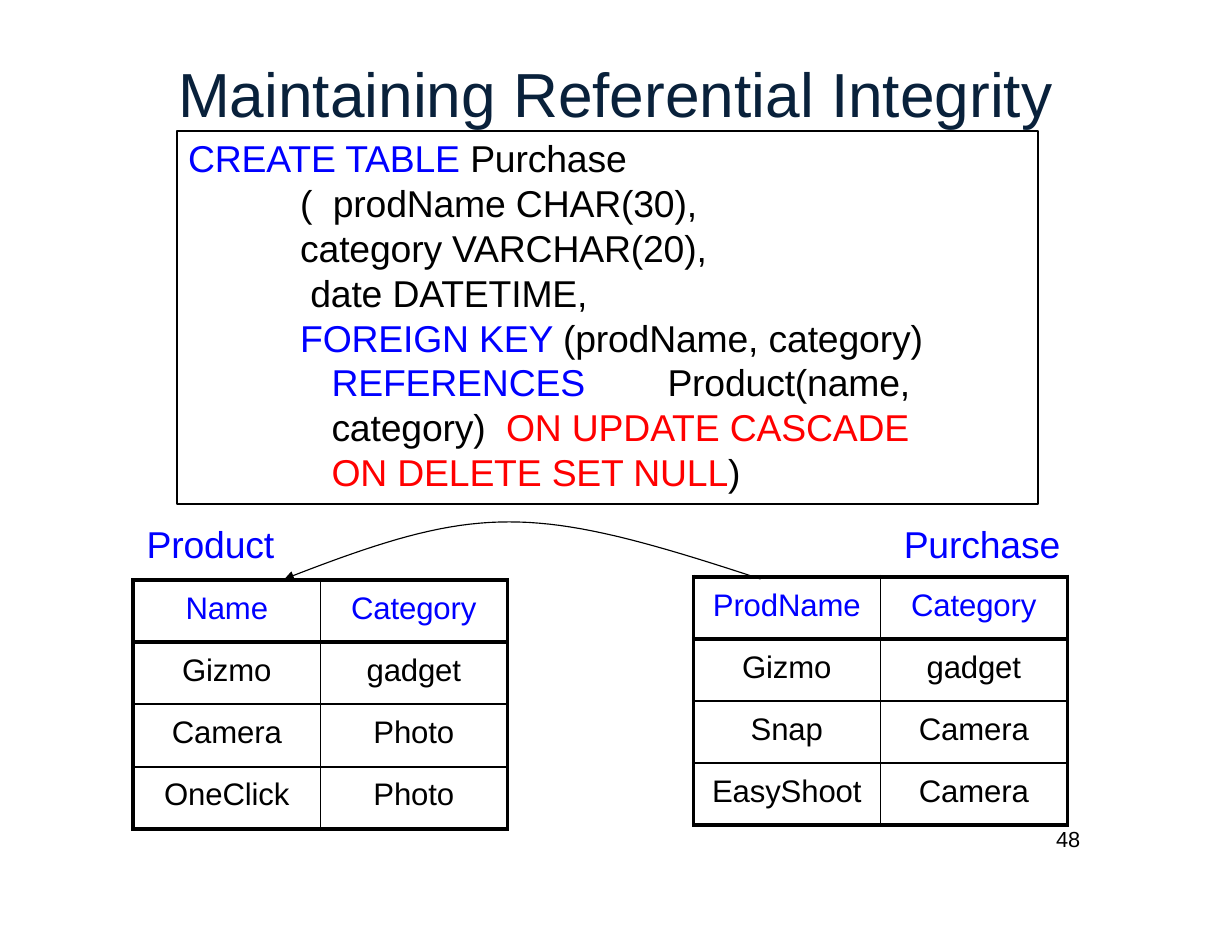
from typing import NamedTuple

from lxml.etree import SubElement
from pptx import Presentation
from pptx.dml.color import RGBColor
from pptx.enum.shapes import MSO_SHAPE as Preset
from pptx.enum.text import MSO_ANCHOR as Anchor
from pptx.enum.text import PP_ALIGN as Align
from pptx.oxml.ns import qn
from pptx.util import Inches, Pt

BLACK, BLUE, RED, NAVY = "000000", "0000FF", "FF0000", "09213B"
THIN, INNER, EDGE, HEAVY = 1, 1.5, 2.25, 3


class Run(NamedTuple):
    text: str
    color: str = BLACK


class CodeBlock(NamedTuple):
    runs: list[Run]
    margin: float
    indent: float = 0
    before: float = 0


class Relation(NamedTuple):
    name: str
    name_left: float
    left: float
    top: float
    left_border: float
    rows: list[tuple[str, str]]


class Point(NamedTuple):
    x: float
    y: float


CODE = [
    CodeBlock([
        Run("CREATE TABLE ", BLUE),
        Run("Purchase\v(  prodName CHAR(30),\vcategory VARCHAR(20),\v date DATETIME,"),
    ], 1.1, -1, 1.8),
    CodeBlock([
        Run("FOREIGN KEY ", BLUE),
        Run("(prodName, category)\v"),
        Run("REFERENCES\t\t", BLUE),
        Run("Product(name,\vcategory)  "),
        Run("ON UPDATE CASCADE", RED),
    ], 1.38, -0.28),
    CodeBlock([Run("ON DELETE SET NULL", RED), Run(")")], 1.38),
]

RELATIONS = [
    Relation("Product", 1.3, 1.19, 5.18, HEAVY, [
        ("Name", "Category"), ("Gizmo", "gadget"),
        ("Camera", "Photo"), ("OneClick", "Photo"),
    ]),
    Relation("Purchase", 8.06, 6.19, 5.15, EDGE, [
        ("ProdName", "Category"), ("Gizmo", "gadget"),
        ("Snap", "Camera"), ("EasyShoot", "Camera"),
    ]),
]

REFERENCE_CURVE = [Point(6.79, 5.17), Point(4.73, 4.49), Point(4.28, 4.49), Point(2.54, 5.17)]


def rgb(color: str) -> RGBColor:
    return RGBColor.from_string(color)


def write(paragraph, text: str, *, size: float, color: str = BLACK, spacing: int = -10,
          before: float = 0, align: Align = Align.LEFT) -> None:
    paragraph.alignment = align
    paragraph.space_before = Pt(before)
    for index, line in enumerate(text.split("\v")):
        if index:
            paragraph.add_line_break()
        if not line:
            continue
        run = paragraph.add_run()
        run.text = line
        run.font.name = "Arial"
        run.font.size = Pt(size)
        run.font.color.rgb = rgb(color)
        run.font._element.set("spc", str(spacing))


def set_margins(frame, top: float) -> None:
    frame.margin_left = frame.margin_right = frame.margin_bottom = 0
    frame.margin_top = Inches(top)


def indent(paragraph, margin: float, first: float = 0) -> None:
    properties = paragraph._p.get_or_add_pPr()
    properties.set("marL", str(Inches(margin)))
    properties.set("indent", str(Inches(first)))


def add_text(slide, left: float, top: float, width: float, height: float, text: str,
             *, inset: float = 0.01, margin: float = 0.01, **text_format):
    shape = slide.shapes.add_textbox(Inches(left), Inches(top), Inches(width), Inches(height))
    shape.text_frame.word_wrap = True
    set_margins(shape.text_frame, inset)
    paragraph = shape.text_frame.paragraphs[0]
    write(paragraph, text, **text_format)
    indent(paragraph, margin)
    return paragraph


def add_code(slide, blocks: list[CodeBlock]) -> None:
    shape = slide.shapes.add_shape(
        Preset.RECTANGLE, Inches(1.58), Inches(1.17), Inches(7.69), Inches(3.33))
    shape.shadow.inherit = False
    shape.fill.background()
    shape.line.color.rgb = rgb(BLACK)
    shape.line.width = Pt(1)
    frame = shape.text_frame
    frame.word_wrap = True
    frame.vertical_anchor = Anchor.TOP
    set_margins(frame, 0.04)
    for index, block in enumerate(blocks):
        paragraph = frame.add_paragraph() if index else frame.paragraphs[0]
        paragraph.line_spacing = Pt(28.8)
        indent(paragraph, block.margin, block.indent)
        for run in block.runs:
            write(paragraph, run.text, size=24, color=run.color, before=block.before)


def set_borders(cell, **widths: float) -> None:
    properties = cell._tc.get_or_add_tcPr()
    for side, width in widths.items():
        line = SubElement(properties, qn(f"a:ln{side}"), w=str(Pt(width)))
        fill = SubElement(line, qn("a:solidFill"))
        SubElement(fill, qn("a:srgbClr"), val=BLACK)


def add_relation(slide, relation: Relation) -> None:
    add_text(slide, relation.name_left, 4.64, 1.5, 0.43, relation.name,
             size=24, color=BLUE, before=1)
    count = len(relation.rows)
    table = slide.shapes.add_table(
        count, 2, Inches(relation.left), Inches(relation.top),
        Inches(3.34), Inches(2.22)).table
    table.first_row = table.horz_banding = False
    for row, values in enumerate(relation.rows):
        for column, text in enumerate(values):
            cell = table.cell(row, column)
            set_margins(cell, 0.1)
            write(cell.text_frame.paragraphs[0], text, size=20,
                  color=BLACK if row else BLUE, before=7.4, align=Align.CENTER)
            set_borders(
                cell,
                L=THIN if column else relation.left_border,
                R=EDGE if column else THIN,
                T=HEAVY if row < 2 else INNER,
                B=HEAVY if row in (0, count - 1) else INNER)
            cell.fill.background()


def curve_point(controls: list[Point], t: float) -> tuple[int, int]:
    weights = [(1 - t) ** 3, 3 * t * (1 - t) ** 2, 3 * t ** 2 * (1 - t), t ** 3]
    x = sum(weight * point.x for weight, point in zip(weights, controls))
    y = sum(weight * point.y for weight, point in zip(weights, controls))
    return Inches(x), Inches(y)


def add_curved_arrow(slide, controls: list[Point], steps: int = 40) -> None:
    points = [curve_point(controls, step / steps) for step in range(steps + 1)]
    builder = slide.shapes.build_freeform(*points[0])
    builder.add_line_segments(points[1:], close=False)
    shape = builder.convert_to_shape()
    shape.shadow.inherit = False
    shape.fill.background()
    shape.line.color.rgb = rgb(BLACK)
    shape.line.width = Pt(0.75)
    SubElement(shape.line._get_or_add_ln(), qn("a:tailEnd"), type="triangle", w="med", len="med")


def main() -> None:
    presentation = Presentation()
    presentation.slide_width, presentation.slide_height = Inches(11), Inches(8.5)
    slide = presentation.slides.add_slide(presentation.slide_layouts[6])
    add_text(slide, 1.58, 0.48, 7.84, 0.7, "Maintaining Referential Integrity",
             size=40, color=NAVY, spacing=0, before=1)
    add_code(slide, CODE)
    for relation in RELATIONS:
        add_relation(slide, relation)
    add_curved_arrow(slide, REFERENCE_CURVE)
    number = add_text(slide, 9.39, 7.38, 0.34, 0.25, "48", inset=0, margin=0.04, size=14)
    number.line_spacing = Pt(16.4)
    presentation.save("out.pptx")


if __name__ == "__main__":
    main()
